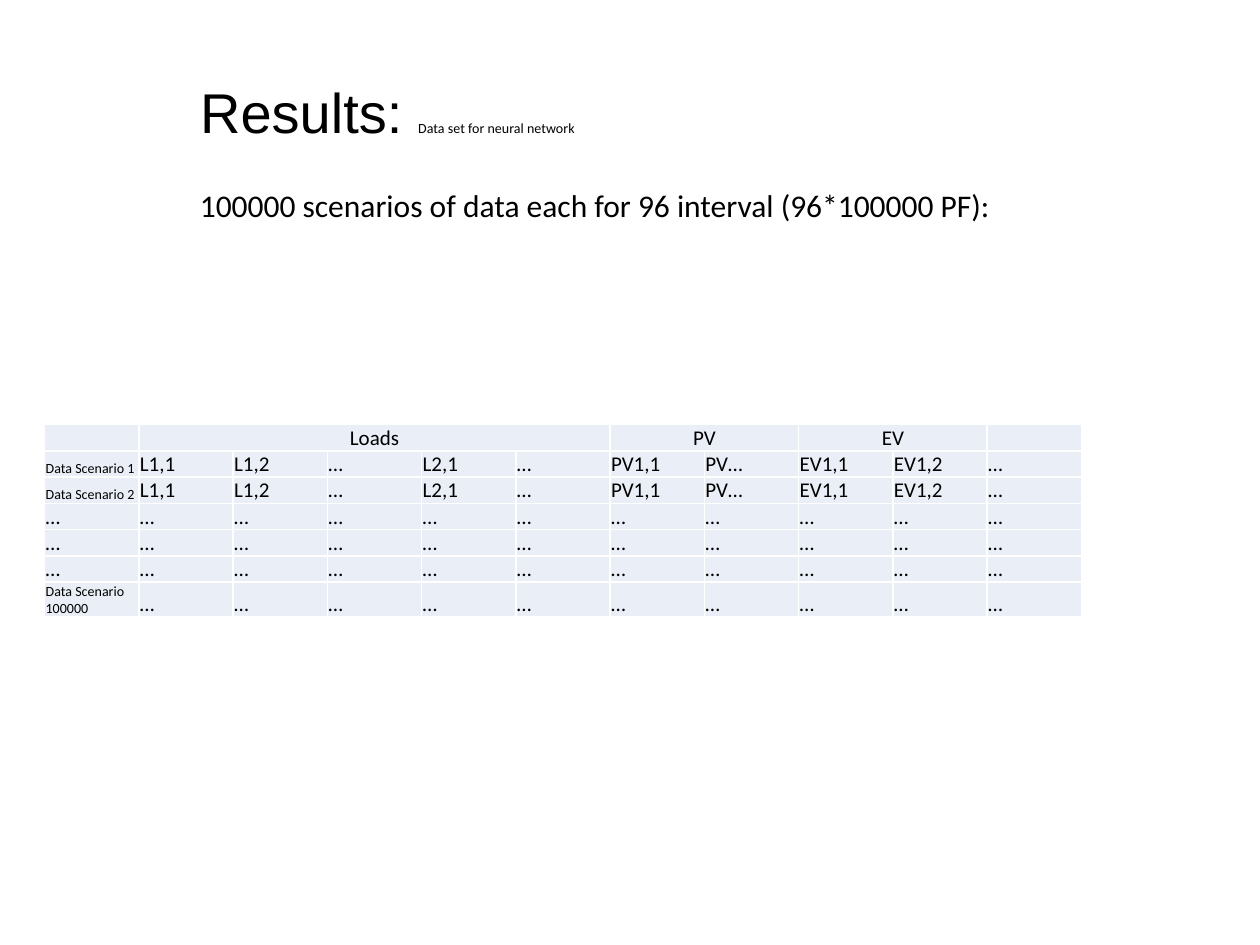
import lxml.etree
import pptx
import pptx.dml.color
import pptx.enum.text
import pptx.oxml.ns
import pptx.util

Cm, Pt = pptx.util.Cm, pptx.util.Pt
qn = pptx.oxml.ns.qn
RGBColor = pptx.dml.color.RGBColor
ALIGN = pptx.enum.text.PP_ALIGN
ANCHOR = pptx.enum.text.MSO_ANCHOR

BLACK = RGBColor(0x00, 0x00, 0x00)
WHITE = RGBColor(0xFF, 0xFF, 0xFF)
PALE_BLUE = RGBColor(0xEA, 0xEF, 0xF7)

COLUMNS = 11
GROUPS = [("Loads", 1, 5), ("PV", 6, 7), ("EV", 8, 9)]
DOTS = ["…"] * (COLUMNS - 1)
VALUES = ["L1,1", "L1,2", "…", "L2,1", "…", "PV1,1", "PV…", "EV1,1", "EV1,2", "…"]
ROWS = [
    ["Data Scenario 1", *VALUES],
    ["Data Scenario 2", *VALUES],
    ["…", *DOTS],
    ["…", *DOTS],
    ["…", *DOTS],
    ["Data Scenario 100000", *DOTS],
]


def add_text(p, text, size=12, font="Calibri", color=BLACK, align=ALIGN.LEFT):
    """Append a formatted run to a paragraph."""
    p.alignment = align
    r = p.add_run()
    r.text = text
    r.font.size = Pt(size)
    r.font.name = font
    r.font.bold = False
    r.font.color.rgb = color


def add_title(s):
    """Place the title with its small subtitle on the same line."""
    sp = s.shapes.title
    sp.left, sp.top, sp.width, sp.height = Cm(3.78), Cm(1.7), Cm(19.91), Cm(1.24)
    tf = sp.text_frame
    tf.vertical_anchor = ANCHOR.MIDDLE
    p = tf.paragraphs[0]
    p.line_spacing = 0.9
    add_text(p, "Results: ", size=32, font="Arial")
    add_text(p, "Data set for neural network", size=8)


def add_summary(s):
    """Add the line that states the size of the data set."""
    sp = s.shapes.add_textbox(Cm(3.78), Cm(3.63), Cm(16.64), Cm(1.02))
    tf = sp.text_frame
    tf.word_wrap = False
    tf.auto_size = pptx.enum.text.MSO_AUTO_SIZE.SHAPE_TO_FIT_TEXT
    text = "100000 scenarios of data each for 96 interval (96*100000 PF):"
    add_text(tf.paragraphs[0], text, size=18)


def format_cell(cell):
    """Set the margins, borders and fill of a table cell."""
    cell.margin_left = cell.margin_right = cell.margin_top = Cm(0.02)
    cell.margin_bottom = 0
    cell.vertical_anchor = ANCHOR.BOTTOM
    tcPr = cell._tc.get_or_add_tcPr()
    for side in ("a:lnL", "a:lnR", "a:lnT", "a:lnB"):
        ln = lxml.etree.SubElement(tcPr, qn(side), w=str(Pt(1)))
        fill = lxml.etree.SubElement(ln, qn("a:solidFill"))
        lxml.etree.SubElement(fill, qn("a:srgbClr"), val=str(WHITE))
    cell.fill.solid()
    cell.fill.fore_color.rgb = PALE_BLUE


def add_scenario_table(s):
    """Add the table of scenarios under its grouped headings."""
    count = len(ROWS) + 1
    column, row = Cm(1.9), Cm(0.48)
    table = s.shapes.add_table(
        count, COLUMNS, Cm(0.9), Cm(8.56), column * COLUMNS, row * count
    ).table
    table.first_row = table.horz_banding = False
    for col in table.columns:
        col.width = column
    for line in table.rows:
        line.height = row
    for cell in table.iter_cells():
        format_cell(cell)
    for text, first, last in GROUPS:
        cell = table.cell(0, first)
        cell.merge(table.cell(0, last))
        add_text(cell.text_frame.paragraphs[0], text, align=ALIGN.CENTER)
    for i, texts in enumerate(ROWS, 1):
        for j, text in enumerate(texts):
            size = 8 if text.startswith("Data") else 12
            add_text(table.cell(i, j).text_frame.paragraphs[0], text, size=size)
    for cell in table.iter_cells():
        if not cell.text_frame.text:
            p = cell.text_frame.paragraphs[0]
            lxml.etree.SubElement(p._p, qn("a:endParaRPr"), sz="1200")


def main():
    """Build the slide and save it."""
    prs = pptx.Presentation()
    prs.slide_width, prs.slide_height = Cm(25.4), Cm(19.05)
    s = prs.slides.add_slide(prs.slide_layouts[5])
    add_title(s)
    add_summary(s)
    add_scenario_table(s)
    prs.save("out.pptx")


if __name__ == "__main__":
    main()
